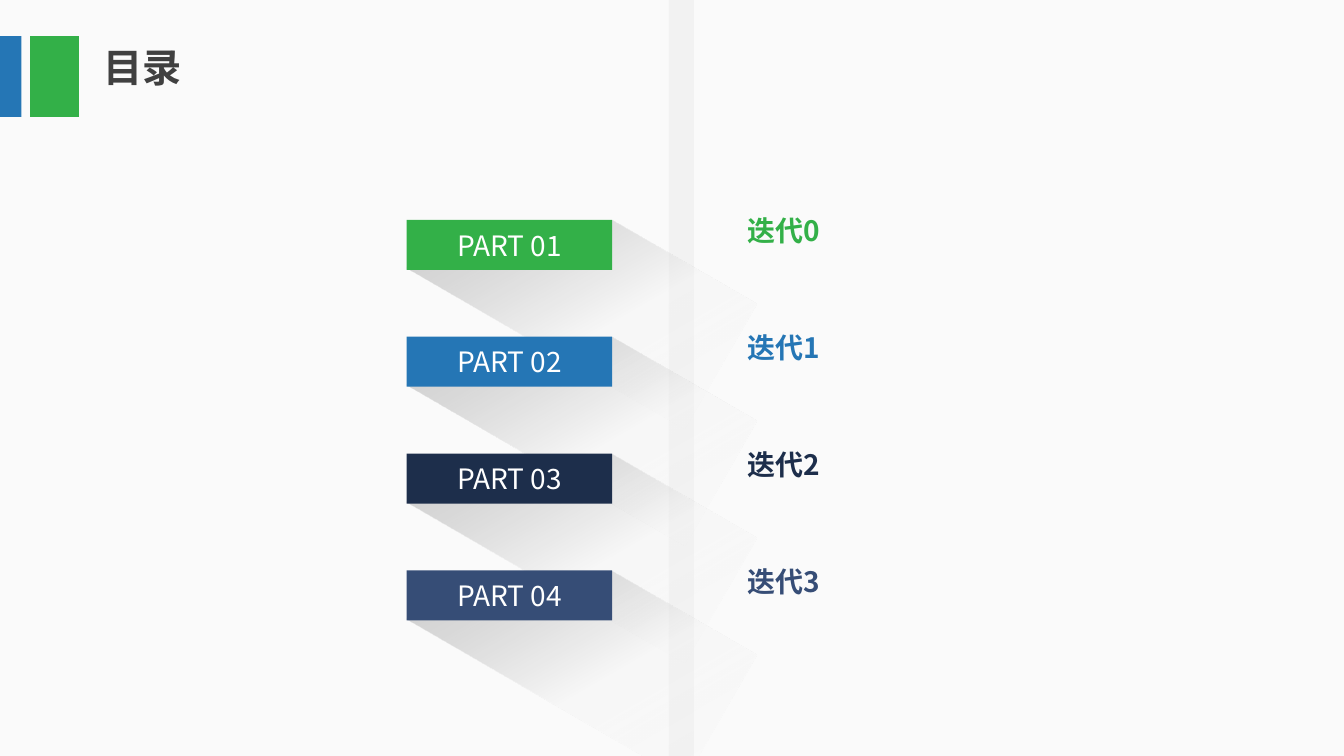
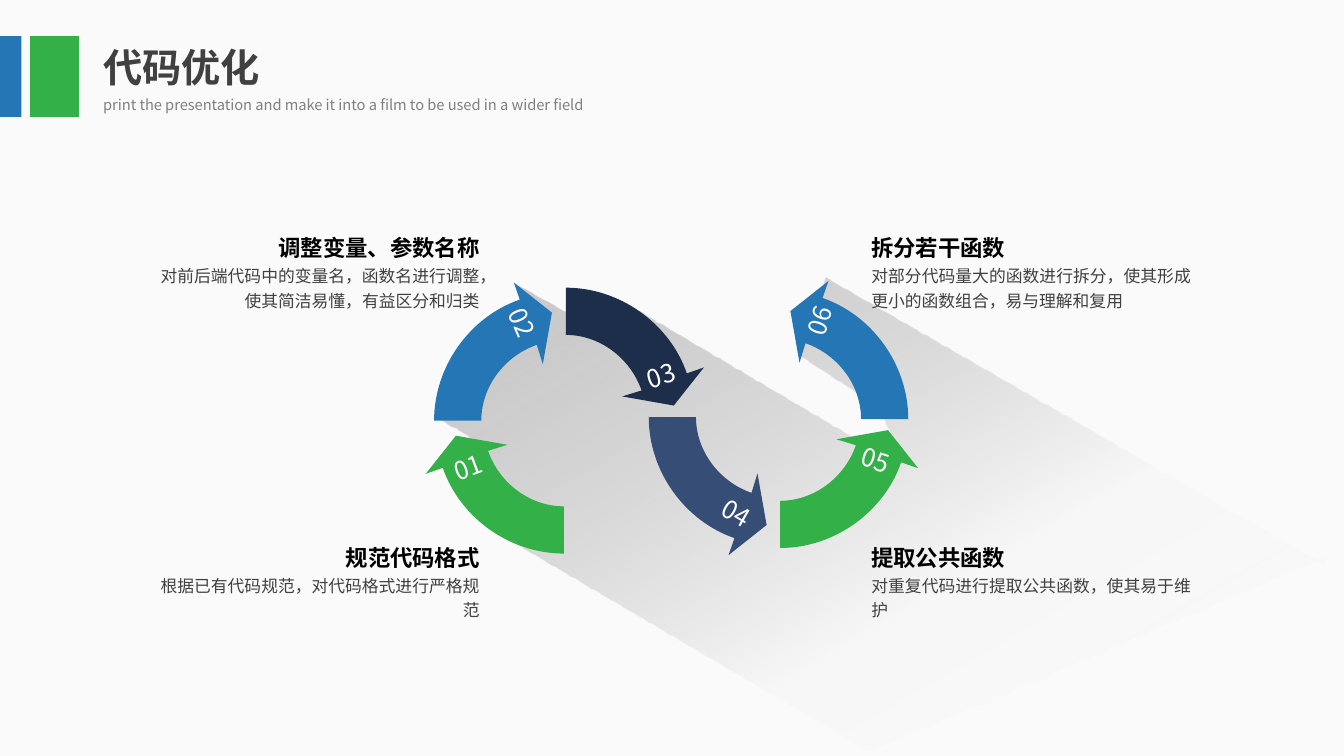
from lxml import etree
from pptx import Presentation
from pptx.dml.color import RGBColor
from pptx.enum.shapes import MSO_SHAPE, MSO_SHAPE_TYPE
from pptx.enum.text import MSO_ANCHOR, MSO_AUTO_SIZE, PP_ALIGN
from pptx.oxml import parse_xml
from pptx.oxml.ns import qn
from pptx.util import Cm, Pt

RECT = MSO_SHAPE.RECTANGLE
DRAWN = (MSO_SHAPE_TYPE.AUTO_SHAPE, MSO_SHAPE_TYPE.FREEFORM)
LEFT, RIGHT, MID = PP_ALIGN.LEFT, PP_ALIGN.RIGHT, PP_ALIGN.CENTER
JUST = PP_ALIGN.JUSTIFY
TOP, CENTRE = MSO_ANCHOR.TOP, MSO_ANCHOR.MIDDLE
FIXED = MSO_AUTO_SIZE.NONE

FONT = "Noto Sans CJK SC"
GREEN, BLUE, NAVY, SLATE = "33B048", "2576B5", "1D2E4B", "364D76"
WHITE, BLACK, DARK, GREY = "FFFFFF", "000000", "404040", "808080"
PAPER, BAND = "FAFAFA", "F2F2F2"

FADE = """<a:gradFill rotWithShape="1"
  xmlns:a="http://schemas.openxmlformats.org/drawingml/2006/main"><a:gsLst>
  <a:gs pos="0"><a:srgbClr val="000000"><a:alpha val="20000"/></a:srgbClr></a:gs>
  <a:gs pos="61000"><a:srgbClr val="F2F2F2"><a:alpha val="34000"/></a:srgbClr></a:gs>
  <a:gs pos="100000"><a:srgbClr val="F2F2F2"><a:alpha val="0"/></a:srgbClr></a:gs>
  </a:gsLst><a:lin ang="{}" scaled="0"/></a:gradFill>"""


def paint(fill, tone):
    """Give a shape, font or background fill one solid colour."""
    fill.solid()
    fill.fore_color.rgb = RGBColor.from_string(tone)


def write(shape, text, size, tone, bold=False, align=LEFT, space=1.0, wrap=True):
    """Set the text of a shape and format it."""
    frame = shape.text_frame
    frame.text = text
    frame.word_wrap = wrap
    para = frame.paragraphs[0]
    para.alignment = align
    para.line_spacing = space
    font = para.runs[0].font
    font.name, font.size, font.bold = FONT, Pt(size), bold
    paint(font.fill, tone)
    east = etree.SubElement(para.runs[0]._r.get_or_add_rPr(), qn("a:ea"))
    east.set("typeface", FONT)


deck = Presentation()
deck.slide_width, deck.slide_height = Cm(33.87), Cm(19.05)
paint(deck.slide_master.background.fill, PAPER)

# Shared frame: title and two corner blocks
for name in ("目录", "代码优化"):
    slide = deck.slides.add_slide(deck.slide_layouts[5])
    title = slide.shapes.title
    title.left, title.top = Cm(2.35), Cm(0.97)
    title.width, title.height = Cm(9.14), Cm(1.45)
    write(title, name, 28, DARK, bold=True)
    title.text_frame.vertical_anchor = TOP
    title.text_frame.auto_size = FIXED
    for left, width, tone in ((0.76, 1.23, GREEN), (0, 0.54, BLUE)):
        block = slide.shapes.add_shape(RECT, Cm(left), Cm(0.91), Cm(width), Cm(2.04))
        paint(block.fill, tone)

agenda, cycle = (slide.shapes for slide in deck.slides)
shades = []

# Agenda: band, long shadows, then the parts
band = agenda.add_shape(RECT, Cm(16.86), 0, Cm(0.63), deck.slide_height)
paint(band.fill, BAND)

STEP = 2.945
tones = (GREEN, BLUE, NAVY, SLATE)
wedge = ((0, 3.63), (3.89, 0), (8.08, 0), (8.08, 3.63))
for row in range(len(tones)):
    spots = [(Cm(10.62 + x), Cm(5.39 + row * STEP + y)) for x, y in wedge]
    pen = agenda.build_freeform(*spots[0])
    pen.add_line_segments(spots[1:])
    shade = pen.convert_to_shape()
    shade.rotation = 30
    shades.append(shade)

for row, tone in enumerate(tones):
    top = 5.54 + row * STEP
    part = agenda.add_shape(RECT, Cm(10.25), Cm(top), Cm(5.18), Cm(1.26))
    paint(part.fill, tone)
    write(part, f"PART {row + 1:02}", 20, WHITE, align=MID)
    part.text_frame.vertical_anchor = CENTRE
    topic = agenda.add_textbox(Cm(18.59), Cm(top - 0.28), Cm(9.14), Cm(1.12))
    write(topic, f"迭代{row}", 20, tone, bold=True)

# Cycle: one long shadow behind all arrows
edge = (
    (33.38, 14.22), (33.38, 14.02), (21.89, 18.9), (12.57, 13.44), (12.14, 11.18),
    (11, 10.52), (13.11, 7.98), (13.44, 7.82), (13.03, 7.19), (15.32, 8.46),
    (16.05, 7.82), (22.02, 11.33), (22.43, 10.9), (22.12, 10.24), (20.17, 8.99),
    (20.8, 7.01),
)
spots = [(Cm(x), Cm(y)) for x, y in edge]
pen = cycle.build_freeform(*spots[0])
pen.add_line_segments(spots[1:])
shades.append(pen.convert_to_shape())

# One arrow outline: u runs ahead, v to the inside; both arcs are Bézier curves
outer = [(0, 0), (1.37, 0), (2.62, 0.91), (3.05, 2.16)]
head = [(3.48, 2.01), (2.72, 2.97), (1.42, 2.74)]
inner = [(1.91, 2.59), (1.63, 1.78), (0.86, 1.19), (0, 1.19)]
outline = outer + head + inner
BENDS = (0, len(outer + head))

# Start point, directions of u and v, colour, number centre, number angle
arrows = (
    ((14.21, 13.95), (-1, 0), (0, -1), GREEN, (11.79, 11.77), 339.6),
    ((10.94, 10.6), (0, -1), (1, 0), BLUE, (13.16, 8.13), 66.7),
    ((14.26, 7.25), (1, 0), (0, 1), NAVY, (16.66, 9.46), 341.9),
    ((16.35, 10.51), (0, 1), (1, 0), SLATE, (18.55, 12.93), 30),
    ((19.66, 13.81), (1, 0), (0, -1), GREEN, (22.07, 11.59), 18.3),
    ((22.89, 10.56), (0, -1), (-1, 0), BLUE, (20.65, 8.08), 289.3),
)
for count, (start, ahead, side, tone, mid, angle) in enumerate(arrows, 1):
    spots = [
        [Cm(s + a * u + b * v) for s, a, b in zip(start, ahead, side)]
        for u, v in outline
    ]
    pen = cycle.build_freeform(*spots[0])
    pen.add_line_segments(spots[1:])
    arrow = pen.convert_to_shape()
    paint(arrow.fill, tone)
    lines = list(arrow._element.iter(qn("a:lnTo")))
    for bend in BENDS:
        curve = etree.Element(qn("a:cubicBezTo"))
        lines[bend].addprevious(curve)
        for line in lines[bend:bend + 3]:
            curve.append(line[0])
            line.getparent().remove(line)
    num = cycle.add_textbox(Cm(mid[0] - 0.61), Cm(mid[1] - 0.51), Cm(1.22), Cm(1.02))
    write(num, f"{count:02}", 18, WHITE, align=MID, wrap=False)
    num.rotation = angle

# Cycle: subtitle and notes at the four corners
line = "print the presentation and make it into a film to be used in a wider field"
under = cycle.add_textbox(Cm(2.35), Cm(2.2), Cm(13.56), Cm(0.76))
write(under, line, 10.5, GREY, space=1.2)

UPPER, LOWER = 5.64, 13.44
notes = (
    (21.71, 21.71, UPPER, JUST, "拆分若干函数",
     "对部分代码量大的函数进行拆分，使其形成更小的函数组合，易与理解和复用"),
    (21.71, 21.71, LOWER, JUST, "提取公共函数",
     "对重复代码进行提取公共函数，使其易于维护"),
    (6.65, 3.78, UPPER, RIGHT, "调整变量、参数名称",
     "对前后端代码中的变量名，函数名进行调整，使其简洁易懂，有益区分和归类"),
    (6.65, 3.78, LOWER, RIGHT, "规范代码格式",
     "根据已有代码规范，对代码格式进行严格规范"),
)
for near, far, top, align, topic, text in notes:
    body = cycle.add_textbox(Cm(far), Cm(top + 0.84), Cm(8.56), Cm(1.45))
    write(body, text, 12, DARK, align=align, space=1.2)
    label = cycle.add_textbox(Cm(near), Cm(top), Cm(5.69), Cm(1.02))
    write(label, topic, 16, BLACK, bold=True, align=align, space=1.2)

# Long shadows all fade at 60 degrees on the slide, whatever their rotation
for shade in shades:
    shade.fill.background()
    props = shade._element.spPr
    fade = parse_xml(FADE.format(int(60 - shade.rotation) * 60000))
    props.replace(props.find(qn("a:noFill")), fade)

# No outline or effect on any drawn shape
for slide in deck.slides:
    for shape in slide.shapes:
        if shape.shape_type in DRAWN:
            shape.line.fill.background()
            shape.shadow.inherit = False

deck.save("out.pptx")
